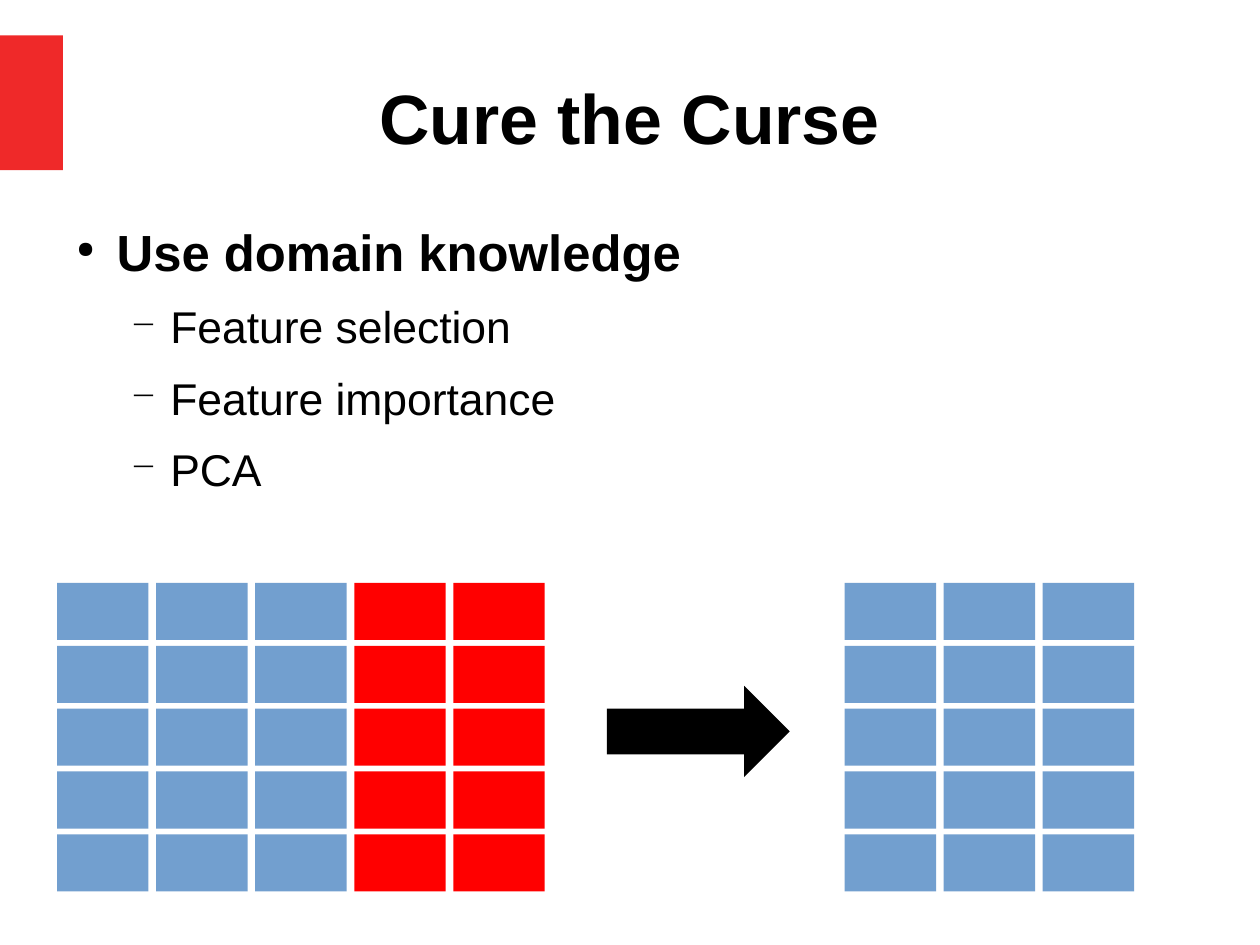
from lxml import etree
from pptx import Presentation
from pptx.dml.color import RGBColor
from pptx.enum import shapes, text
from pptx.oxml import ns
from pptx.util import Cm, Inches, Pt

BLUE, RED, BLACK = "729FCF", "FF0000", "000000"
RECT = shapes.MSO_SHAPE.RECTANGLE
ARROW = shapes.MSO_SHAPE.RIGHT_ARROW


def color(code):
    return RGBColor.from_string(code)


def block(slide, kind, x, y, w, h, fill):
    shape = slide.shapes.add_shape(kind, Inches(x), Inches(y), Inches(w), Inches(h))
    shape.shadow.inherit = False
    shape.fill.solid()
    shape.fill.fore_color.rgb = color(fill)
    shape.line.fill.background()


def frame(slide, x, y, w, h):
    box = slide.shapes.add_textbox(Inches(x), Inches(y), Inches(w), Inches(h))
    body = box.text_frame
    body.word_wrap = True
    body.margin_left = body.margin_right = body.margin_top = body.margin_bottom = 0
    return body


def style(para, words, size, bold):
    para.text = words
    font = para.font
    font.name, font.size, font.bold = "Arial", Pt(size), bold
    font.color.rgb = color(BLACK)


def bullet(para, level, indent, mark, scale):
    para.level = level
    props = para._p.get_or_add_pPr()
    props.set("marL", str(Inches(indent)))
    props.set("indent", str(Inches(-0.35)))
    tint = etree.SubElement(props, ns.qn("a:buClr"))
    etree.SubElement(tint, ns.qn("a:srgbClr"), val=BLACK)
    etree.SubElement(props, ns.qn("a:buSzPct"), val=str(scale * 1000))
    etree.SubElement(props, ns.qn("a:buFont"), typeface="OpenSymbol")
    etree.SubElement(props, ns.qn("a:buChar"), char=mark)


def title(slide, x, y, w, h):
    body = frame(slide, x, y, w, h)
    body.vertical_anchor = text.MSO_ANCHOR.MIDDLE
    para = body.paragraphs[0]
    para.alignment = text.PP_ALIGN.CENTER
    style(para, "Cure the Curse", 44, True)


def points(slide, x, y, w, h):
    body = frame(slide, x, y, w, h)
    head = body.paragraphs[0]
    bullet(head, 0, 0.47, "●", 45)
    style(head, "Use domain knowledge", 32, True)
    for words in ("Feature selection", "Feature importance", "PCA"):
        para = body.add_paragraph()
        para.space_before = Pt(11.3)
        bullet(para, 1, 0.94, "−", 75)
        style(para, words, 28, False)


def grid(slide, x, y, fills, rows=5):
    step = 2.6 / 3
    for row in range(rows):
        for col, fill in enumerate(fills):
            block(slide, RECT, x + col * step, y + row * 0.55, 0.8, 0.5, fill)


def main():
    deck = Presentation()
    deck.slide_width, deck.slide_height = Cm(28), Cm(21)
    slide = deck.slides.add_slide(deck.slide_layouts[6])
    block(slide, RECT, 0, 0.31, 0.55, 1.18, "EF2929")
    title(slide, 0.55, 0.33, 9.92, 1.38)
    points(slide, 0.55, 1.93, 10.15, 2.46)
    grid(slide, 0.5, 5.1, [BLUE] * 3 + [RED] * 2)
    block(slide, ARROW, 5.31, 6, 1.6, 0.8, BLACK)
    grid(slide, 7.39, 5.1, [BLUE] * 3)
    deck.save("out.pptx")


if __name__ == "__main__":
    main()
